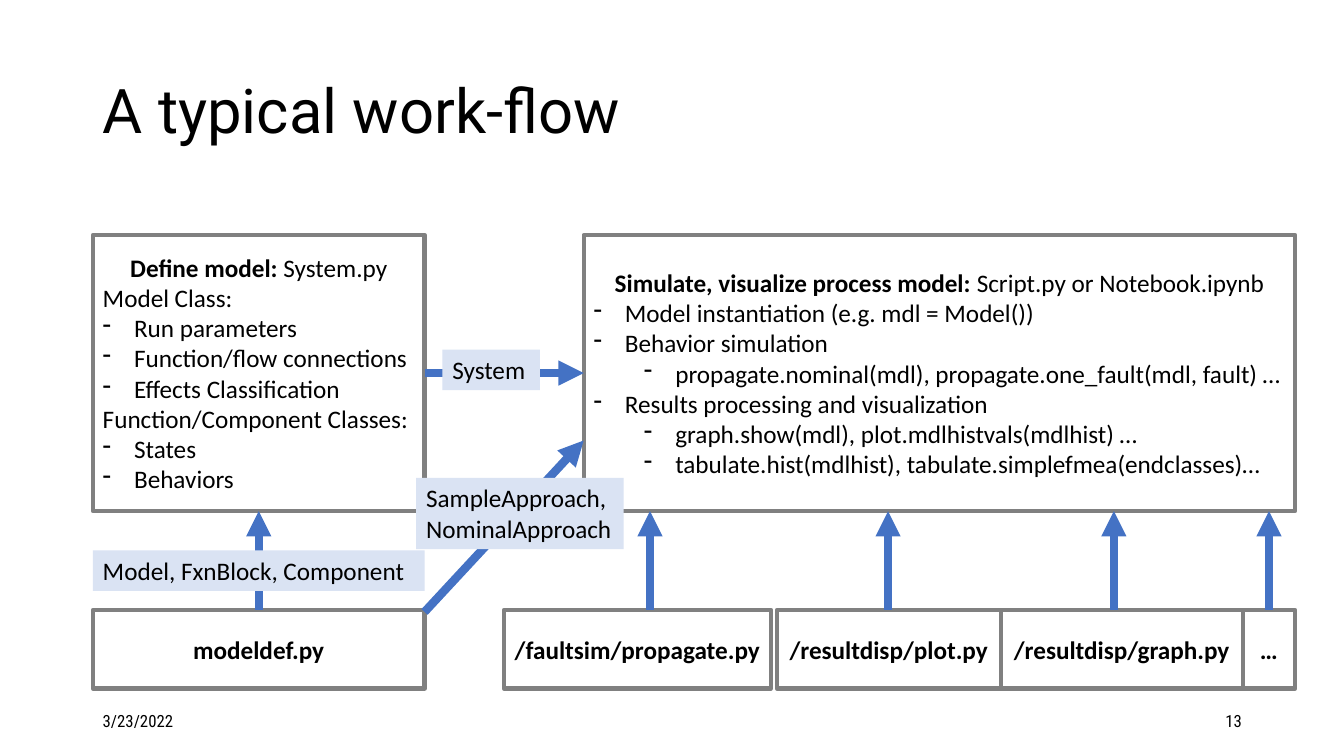
from collections import namedtuple

from lxml.etree import SubElement
from pptx import Presentation
from pptx.dml.color import RGBColor
from pptx.enum.shapes import MSO_CONNECTOR, MSO_SHAPE
from pptx.enum.text import MSO_ANCHOR, PP_ALIGN
from pptx.oxml.ns import qn
from pptx.util import Cm, Pt

BLACK = RGBColor(0x00, 0x00, 0x00)
WHITE = RGBColor(0xFF, 0xFF, 0xFF)
GRAY = RGBColor(0x80, 0x80, 0x80)
BLUE = RGBColor(0x44, 0x72, 0xC4)
PALE_BLUE = RGBColor(0xDA, 0xE3, 0xF3)

Box = namedtuple("Box", "left top width height")

TITLE = Box(2.34, 1.02, 29.21, 3.68)
FOOTER = Box(2.34, 17.65, 29.21, 1.02)
DEFINE = Box(2.34, 5.92, 8.36, 6.96)
SIMULATE = Box(14.71, 5.92, 17.93, 6.96)
MODEL_FILE = Box(2.34, 15.37, 8.36, 1.98)
MODULES = Box(12.7, 15.37, 19.94, 1.98)

DEFINE_LINES = [
    ("Model Class:", None),
    ("Run parameters", 0),
    ("Function/flow connections", 0),
    ("Effects Classification", 0),
    ("Function/Component Classes:", None),
    ("States", 0),
    ("Behaviors", 0),
]
SIMULATE_LINES = [
    ("Model instantiation (e.g. mdl = Model())", 0),
    ("Behavior simulation", 0),
    ("propagate.nominal(mdl), propagate.one_fault(mdl, fault) …", 1),
    ("Results processing and visualization", 0),
    ("graph.show(mdl), plot.mdlhistvals(mdlhist) …", 1),
    ("tabulate.hist(mdlhist), tabulate.simplefmea(endclasses)…", 1),
]
MODULE_CELLS = [
    ("/faultsim/propagate.py", 0, 6.73, 3.68),
    ("/resultdisp/plot.py", 6.88, 5.64, 9.68),
    ("/resultdisp/graph.py", 12.52, 6.1, 15.37),
    ("…", 18.62, 1.32, 19.28),
]


def add_span(para, text, size=18, font="Calibri", bold=False):
    """Append formatted text to a paragraph."""
    span = para.add_run()
    span.text = text
    span.font.size = Pt(size)
    span.font.name = font
    span.font.bold = bold
    span.font.color.rgb = BLACK


def next_para(frame, align=PP_ALIGN.LEFT):
    """Return the unused first paragraph or a new one."""
    first = frame.paragraphs[0]
    para = frame.add_paragraph() if first.runs else first
    para.alignment = align
    return para


def add_dash(para, level):
    """Give a paragraph a hanging dash bullet at a level."""
    para.level = level
    properties = para._p.get_or_add_pPr()
    properties.set("marL", str(Cm(0.79 + 1.27 * level)))
    properties.set("indent", str(Cm(-0.79)))
    SubElement(properties, qn("a:buFontTx"))
    SubElement(properties, qn("a:buChar")).set("char", "-")


def place(box):
    """Turn a box in centimetres into lengths."""
    return [Cm(value) for value in box]


def add_panel(page, box, kind, fill, line=None, anchor=MSO_ANCHOR.MIDDLE):
    """Add a filled shape and return its text frame."""
    panel = page.shapes.add_shape(kind, *place(box))
    panel.shadow.inherit = False
    panel.fill.solid()
    panel.fill.fore_color.rgb = fill
    if line is None:
        panel.line.fill.background()
    else:
        panel.line.color.rgb = line
        panel.line.width = Pt(3)
    frame = panel.text_frame
    frame.word_wrap = True
    frame.vertical_anchor = anchor
    return frame


def add_process(page, box, heading, file_name="", lines=()):
    """Add an outlined process box with a heading and dash lines."""
    frame = add_panel(page, box, MSO_SHAPE.FLOWCHART_PROCESS, WHITE, GRAY)
    para = next_para(frame, PP_ALIGN.CENTER)
    add_span(para, heading, bold=True)
    if file_name:
        add_span(para, file_name)
    for text, level in lines:
        para = next_para(frame)
        if level is not None:
            add_dash(para, level)
        add_span(para, text)


def add_label(page, box, *lines):
    """Add a pale label naming what an arrow passes on."""
    frame = add_panel(page, box, MSO_SHAPE.RECTANGLE, PALE_BLUE, anchor=MSO_ANCHOR.TOP)
    for text in lines:
        add_span(next_para(frame), text)


def add_arrow(page, *ends):
    """Add a thick arrow between two points."""
    arrow = page.shapes.add_connector(MSO_CONNECTOR.STRAIGHT, *place(ends))
    arrow.line.color.rgb = BLUE
    arrow.line.width = Pt(6)
    SubElement(arrow.line._get_or_add_ln(), qn("a:tailEnd")).set("type", "triangle")
    SubElement(arrow._element.spPr, qn("a:effectLst"))


def add_text(page, box, text, align=PP_ALIGN.LEFT, spacing=1.0, **style):
    """Add a vertically centred text box."""
    frame = page.shapes.add_textbox(*place(box)).text_frame
    frame.word_wrap = True
    frame.vertical_anchor = MSO_ANCHOR.MIDDLE
    para = next_para(frame, align)
    para.line_spacing = spacing
    add_span(para, text, **style)


def add_footer(page, box):
    """Add the date and page number at both ends of the box."""
    style = {"size": 12, "font": "Roboto Condensed"}
    date = box._replace(width=7.62)
    number = date._replace(left=box.left + box.width - date.width)
    add_text(page, date, "3/23/2022", **style)
    add_text(page, number, "13", align=PP_ALIGN.RIGHT, **style)


def add_modules(page, box, target):
    """Add the row of module files with arrows up to the target."""
    for name, offset, width, arrow_offset in MODULE_CELLS:
        add_process(page, box._replace(left=box.left + offset, width=width), name)
        center = box.left + arrow_offset
        add_arrow(page, center, box.top, center, target.top + target.height)


def add_model_links(page, source, model, target):
    """Add the labelled arrows among model file, model and simulation."""
    center = source.left + source.width / 2
    right = source.left + source.width
    middle = model.top + model.height / 2
    add_arrow(page, center, source.top, center, model.top + model.height)
    add_label(page, Box(source.left, source.top - 1.5, source.width, 1.02),
              "Model, FxnBlock, Component")
    add_arrow(page, right, middle, target.left, middle)
    add_label(page, Box(right + 0.45, middle - 0.59, 2.46, 1.02), "System")
    add_arrow(page, right, source.top + 0.05, target.left, middle + 1.7)
    add_label(page, Box(right - 0.21, source.top - 3.33, 5.23, 1.8),
              "SampleApproach,", "NominalApproach")


deck = Presentation()
deck.slide_width, deck.slide_height = Cm(33.87), Cm(19.05)
page = deck.slides.add_slide(deck.slide_layouts[6])
add_text(page, TITLE, "A typical work-flow", spacing=0.9, size=44, font="Roboto")
add_process(page, MODEL_FILE, "modeldef.py")
add_process(page, DEFINE, "Define model: ", "System.py", DEFINE_LINES)
add_process(page, SIMULATE, "Simulate, visualize process model: ",
            "Script.py or Notebook.ipynb", SIMULATE_LINES)
add_modules(page, MODULES, SIMULATE)
add_model_links(page, MODEL_FILE, DEFINE, SIMULATE)
add_footer(page, FOOTER)
deck.save("out.pptx")
